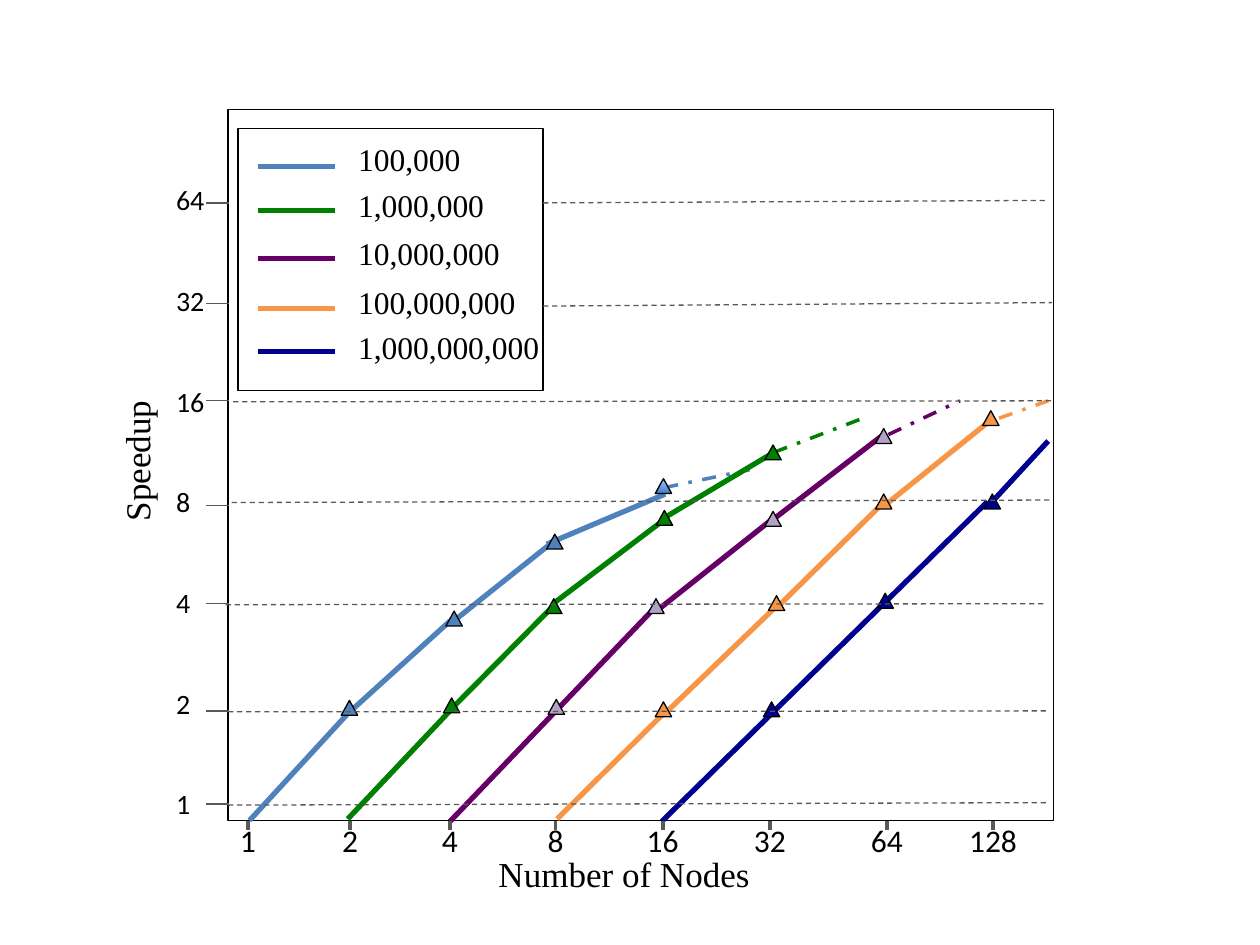
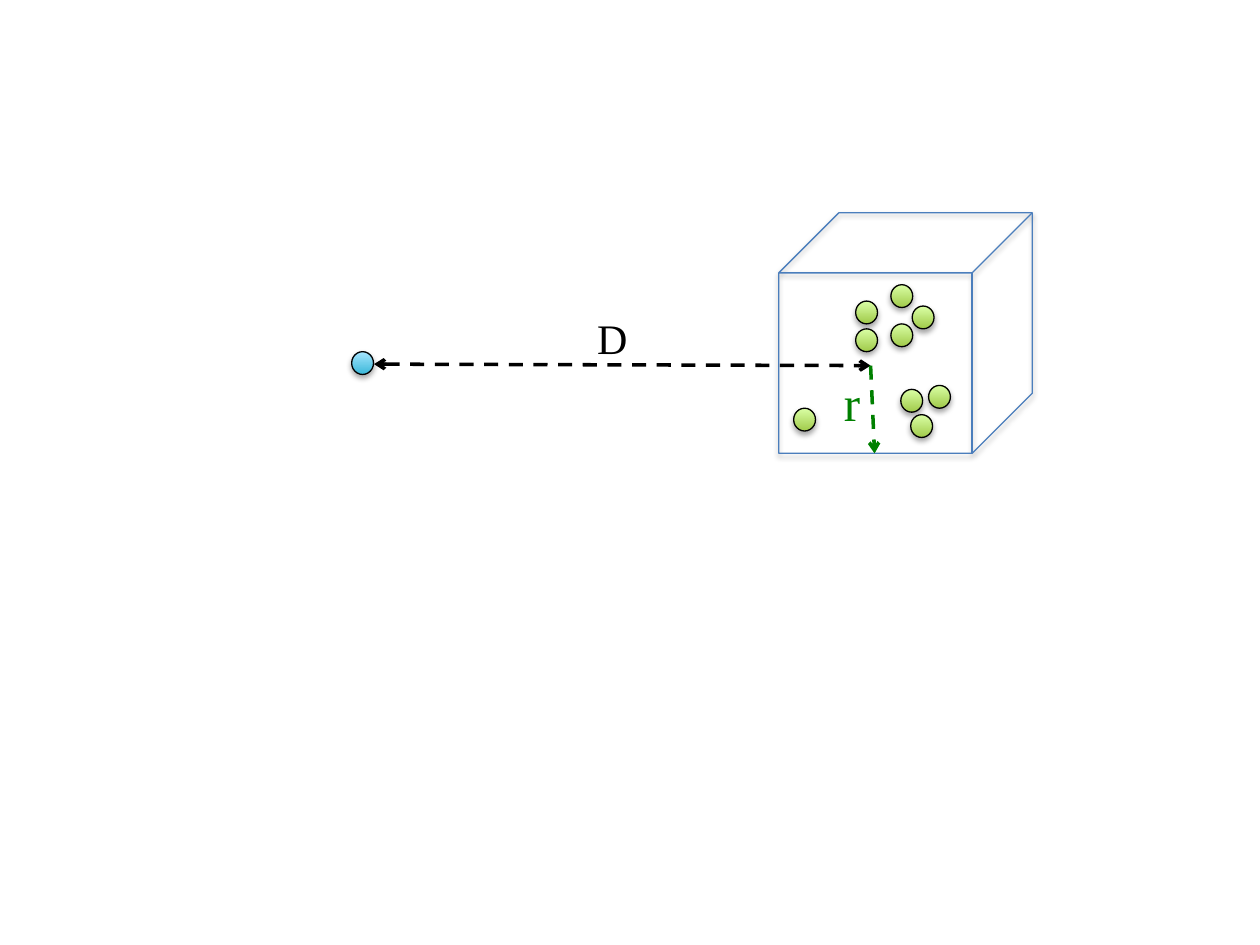
from dataclasses import dataclass

from lxml import etree
from pptx import Presentation
from pptx.dml.color import RGBColor
from pptx.enum.dml import MSO_LINE
from pptx.enum.shapes import MSO_CONNECTOR, MSO_SHAPE
from pptx.enum.text import PP_ALIGN
from pptx.oxml.ns import qn
from pptx.util import Cm, Pt

STRAIGHT = MSO_CONNECTOR.STRAIGHT
RECTANGLE, TRIANGLE = MSO_SHAPE.RECTANGLE, MSO_SHAPE.ISOSCELES_TRIANGLE
OVAL, CUBE = MSO_SHAPE.OVAL, MSO_SHAPE.CUBE
DASH, DASH_DOT = MSO_LINE.DASH, MSO_LINE.DASH_DOT
LEFT, CENTER = PP_ALIGN.LEFT, PP_ALIGN.CENTER


@dataclass
class Theme:
    black: str = "000000"
    grey: str = "595959"
    blue: str = "4F81BD"
    green: str = "008000"
    purple: str = "660066"
    lilac: str = "B3A2C7"
    orange: str = "F79646"
    navy: str = "000090"
    cube: str = "4B7EBC"
    glossy_blue: tuple = ("3F80CE", "A4C4FF")
    glossy_green: tuple = ("A0CA4A", "DAFFA5")
    glossy_cyan: tuple = ("39B7D8", "A7E6FF")
    serif: str = "Times New Roman"
    sans: str = "Calibri"
    tick_size: int = 16
    label_size: int = 18
    axis_size: int = 20
    distance_size: int = 24
    radius_size: int = 28
    hairline: float = 0.75
    medium: float = 2
    thick: float = 3


theme = Theme()


def write_text(slide, text, left, top, width, height, *, size, font=theme.serif,
               color=theme.black, align=LEFT, wrap=True, rotation=0):
    box = slide.shapes.add_textbox(Cm(left), Cm(top), Cm(width), Cm(height))
    box.rotation = rotation
    box.text_frame.word_wrap = wrap
    paragraph = box.text_frame.paragraphs[0]
    paragraph.alignment = align
    run = paragraph.add_run()
    run.text = text
    run.font.name = font
    run.font.size = Pt(size)
    run.font.color.rgb = RGBColor.from_string(color)


def draw_line(slide, x1, y1, x2, y2, color, weight, dash=None, arrows=()):
    connector = slide.shapes.add_connector(STRAIGHT, Cm(x1), Cm(y1), Cm(x2), Cm(y2))
    connector.line.color.rgb = RGBColor.from_string(color)
    connector.line.width = Pt(weight)
    if dash:
        connector.line.dash_style = dash
    properties = connector.element.spPr
    for end in arrows:
        etree.SubElement(properties.find(qn("a:ln")), qn(end), type="arrow")
    etree.SubElement(properties, qn("a:effectLst"))


presentation = Presentation()
presentation.slide_width, presentation.slide_height = Cm(25.4), Cm(19.05)
blank = presentation.slide_layouts[6]
speedup = presentation.slides.add_slide(blank)
galaxy = presentation.slides.add_slide(blank)
glossy = []  # shapes paired with the dark and light ends of their fill

# Speedup: plot frame and legend frame
for frame in ((4.6, 2.21, 16.64, 14.33), (4.8, 2.59, 6.15, 5.28)):
    border = speedup.shapes.add_shape(RECTANGLE, *map(Cm, frame))
    border.shadow.inherit = False
    border.fill.background()
    border.line.color.rgb = RGBColor.from_string(theme.black)
    border.line.width = Pt(theme.hairline)

# Problem sizes: label, colours, legend row, segments, projection, markers
series = [
    ("100,000", theme.blue, theme.blue, 3.35, 2.69,
     [(5.03, 16.54, 7.09, 14.3), (7.14, 14.27, 9.07, 12.52),
      (9.17, 12.5, 11.15, 10.92), (11.02, 10.97, 13.41, 9.96)],
     (13.39, 9.83, 15.11, 9.47),
     [(6.88, 14.12), (8.99, 12.32), (11.02, 10.77), (13.21, 9.65)]),
    ("1,000,000", theme.green, theme.green, 4.24, 3.63,
     [(7.01, 16.51, 9.07, 14.33), (9.17, 14.22, 11.1, 12.27),
      (11.15, 12.17, 13.41, 10.46), (13.39, 10.44, 15.6, 9.12)],
     (15.6, 9.12, 17.4, 8.43),
     [(8.94, 14.07), (11, 12.07), (13.23, 10.29), (15.42, 8.97)]),
    ("10,000,000", theme.purple, theme.lilac, 5.21, 4.6,
     [(9.07, 16.56, 13.21, 12.24), (13.23, 12.32, 15.6, 10.44),
      (15.6, 10.46, 17.81, 8.76)],
     (17.91, 8.76, 19.35, 8.08),
     [(11.05, 14.1), (13.06, 12.07), (15.42, 10.31), (17.65, 8.64)]),
    ("100,000,000", theme.orange, theme.orange, 6.22, 5.59,
     [(11.23, 16.51, 13.36, 14.4), (13.46, 14.33, 15.6, 12.27),
      (15.72, 12.19, 17.81, 10.13), (17.81, 10.21, 20.02, 8.43)],
     (20.14, 8.43, 21.13, 8.08),
     [(13.21, 14.15), (15.49, 12.01), (17.65, 9.96), (19.81, 8.28)]),
    ("1,000,000,000", theme.navy, theme.navy, 7.09, 6.48,
     [(13.34, 16.56, 19.91, 10.11), (19.96, 10.16, 21.13, 8.89)],
     None,
     [(15.39, 14.15), (17.68, 11.96), (19.84, 9.96)]),
]
for label, color, marker_color, key_y, label_top, segments, projection, markers in series:
    draw_line(speedup, 5.21, key_y, 6.76, key_y, color, theme.thick)
    write_text(speedup, label, 6.97, label_top, 4.2, 1.02,
               size=theme.label_size, wrap=False)
    for segment in segments:
        draw_line(speedup, *segment, color, theme.thick)
    if projection:
        draw_line(speedup, *projection, color, theme.medium, DASH_DOT)
    for left, top in markers:
        marker = speedup.shapes.add_shape(TRIANGLE, Cm(left), Cm(top), Cm(0.33), Cm(0.3))
        marker.shadow.inherit = False
        marker.fill.solid()
        marker.fill.fore_color.rgb = RGBColor.from_string(marker_color)
        marker.line.color.rgb = RGBColor.from_string(theme.black)
        marker.line.width = Pt(theme.hairline)
        if (left, top) == (13.21, 9.65):
            glossy.append((marker, theme.glossy_blue))

# Horizontal axis: node counts double from tick to tick
for power, x in enumerate((5, 7.06, 9.07, 11.2, 13.36, 15.52, 17.88, 20.02)):
    draw_line(speedup, x, 16.55, x, 16.73, theme.grey, theme.medium)
    write_text(speedup, str(2 ** power), x - 1, 16.43, 2, 1.02,
               size=theme.label_size, font=theme.sans, align=CENTER)

# Vertical axis: tick height, then the gridline beside it
rows = [
    (4.09, (10.95, 4.09, 21.08, 4.04)),
    (6.12, (10.95, 6.17, 21.21, 6.1)),
    (8.08, (4.7, 8.1, 21.23, 8.08)),
    (10.19, (4.67, 10.13, 21.21, 10.08)),
    (12.17, (4.55, 12.19, 21.08, 12.17)),
    (14.33, (4.6, 14.35, 21.13, 14.33)),
    (16.21, (4.6, 16.23, 21.13, 16.18)),
]
for row, (tick_y, gridline) in enumerate(rows):
    draw_line(speedup, 4.15, tick_y, 4.61, tick_y, theme.grey, theme.hairline)
    draw_line(speedup, *gridline, theme.grey, theme.hairline, DASH)
    write_text(speedup, str(2 ** (6 - row)), 3.3, 3.56 + 2.03 * row, 1.1, 0.94,
               size=theme.tick_size, font=theme.sans, wrap=False)

# Axis titles
write_text(speedup, "Number of Nodes", 9.8, 17.07, 5.66, 1.12,
           size=theme.axis_size, wrap=False)
write_text(speedup, "Speedup", 0.46, 7.9, 4.6, 1.12,
           size=theme.axis_size, rotation=270)

# Distance diagram: cell, its particles and the far particle
cell = galaxy.shapes.add_shape(CUBE, Cm(15.7), Cm(4.29), Cm(5.11), Cm(4.85))
cell.fill.background()
cell.line.color.rgb = RGBColor.from_string(theme.cube)
shadowed = [cell]
particles = [(17.25, 6.07), (17.96, 5.74), (17.96, 6.53), (17.25, 6.63), (18.72, 7.77),
             (18.16, 7.85), (18.36, 8.36), (16, 8.23), (18.39, 6.17)]
far_particle = (7.09, 7.09)
for left, top in particles + [far_particle]:
    particle = galaxy.shapes.add_shape(OVAL, Cm(left), Cm(top), Cm(0.44), Cm(0.46))
    particle.line.color.rgb = RGBColor.from_string(theme.black)
    shades = theme.glossy_cyan if (left, top) == far_particle else theme.glossy_green
    glossy.append((particle, shades))
    shadowed.append(particle)

# Soft shadows under the cell and the particles
for solid in shadowed:
    solid.line.width = Pt(theme.hairline)
    solid.shadow.inherit = False
    effects = solid.element.spPr.find(qn("a:effectLst"))
    shadow = etree.SubElement(effects, qn("a:outerShdw"), blurRad=str(Pt(3.1)),
                              dist=str(Pt(1.8)), dir="5400000", rotWithShape="0")
    shade = etree.SubElement(shadow, qn("a:srgbClr"), val=theme.black)
    etree.SubElement(shade, qn("a:alpha"), val="35000")

# Glossy fills, dark at the foot and light at the top
for solid, shades in glossy:
    solid.fill.gradient()
    solid.fill.gradient_angle = 90
    for stop, shade in zip(solid.fill.gradient_stops, shades):
        stop.color.rgb = RGBColor.from_string(shade)

# Distance and radius
draw_line(galaxy, 7.54, 7.34, 17.55, 7.37, theme.black, theme.medium, DASH,
          ("a:headEnd", "a:tailEnd"))
draw_line(galaxy, 17.55, 7.37, 17.63, 9.14, theme.green, theme.medium, DASH,
          ("a:tailEnd",))
write_text(galaxy, "D", 11.79, 6.17, 1.73, 1.27, size=theme.distance_size)
write_text(galaxy, "r", 16.76, 7.39, 0.79, 1.45, size=theme.radius_size,
           color=theme.green)

presentation.save("out.pptx")
